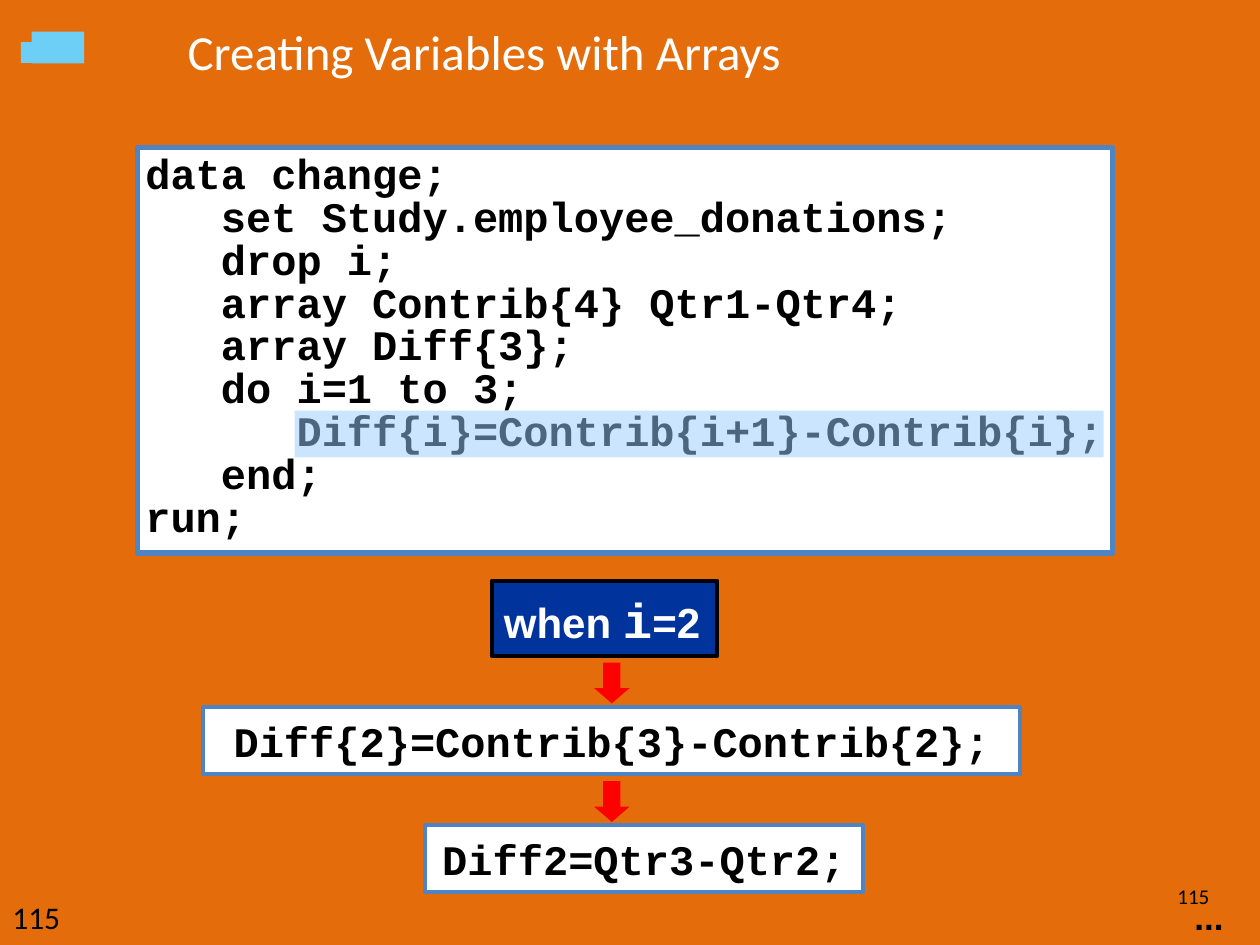
from lxml import etree
from pptx import Presentation
from pptx.dml.color import RGBColor
from pptx.enum.shapes import MSO_SHAPE as Shape
from pptx.enum.text import MSO_ANCHOR as Anchor, MSO_AUTO_SIZE as AutoSize, PP_ALIGN as Align
from pptx.oxml.ns import qn
from pptx.util import Cm, Pt

ORANGE = RGBColor(0xE4, 0x6C, 0x0A)
SKY = RGBColor(0x6D, 0xCF, 0xF6)
NAVY = RGBColor(0x00, 0x34, 0x9C)
BLUE = RGBColor(0x4E, 0x84, 0xC4)
PALE_BLUE = RGBColor(0x99, 0xCC, 0xFF)
RED = RGBColor(0xFF, 0x00, 0x00)
BLACK = RGBColor(0x00, 0x00, 0x00)
WHITE = RGBColor(0xFF, 0xFF, 0xFF)

CODE = """data change;
   set Study.employee_donations;
   drop i;
   array Contrib{4} Qtr1-Qtr4;
   array Diff{3};
   do i=1 to 3;
      Diff{i}=Contrib{i+1}-Contrib{i};
   end;
run;"""

deck = Presentation()
deck.slide_width, deck.slide_height = Cm(25.4), Cm(19.05)
page = deck.slides.add_slide(deck.slide_layouts[5])
page.background.fill.solid()
page.background.fill.fore_color.rgb = ORANGE


def add_block(kind, place, fill, line=None, line_width=2.25):
    """Add a preset shape at (left, top, width, height) in centimetres."""
    block = page.shapes.add_shape(kind, *[Cm(length) for length in place])
    block.shadow.inherit = False
    block.fill.solid()
    block.fill.fore_color.rgb = fill
    if line is None:
        block.line.fill.background()
    else:
        block.line.color.rgb = line
        block.line.width = Pt(line_width)
    return block


def write(box, text, font, size, color=BLACK, bold=False, align=Align.LEFT,
          anchor=Anchor.TOP, wrap=True):
    frame = box.text_frame
    frame.text = text
    frame.word_wrap = wrap
    frame.vertical_anchor = anchor
    for para in frame.paragraphs:
        para.alignment = align
        for span in para.runs:
            span.font.name = font
            span.font.size = Pt(size)
            span.font.bold = bold
            span.font.color.rgb = color
    return frame


# Corner mark
add_block(Shape.RECTANGLE, (0.64, 0.64, 1.06, 0.64), SKY)
add_block(Shape.RECTANGLE, (0.42, 0.85, 0.43, 0.42), SKY)

# Title
title = page.shapes.title
title.left, title.top, title.width, title.height = Cm(3.53), Cm(0.3), Cm(21.21), Cm(1.47)
write(title, "Creating Variables with Arrays", "Calibri", 28, WHITE, anchor=Anchor.MIDDLE)

# Page numbers and continuation dots
for text, place, font, size, bold, align, anchor in [
    ("115", (22.78, 17.58, 1.85, 0.99), "Calibri", 12, False, Align.RIGHT, Anchor.MIDDLE),
    ("115", (0, 17.98, 1.47, 1.07), "Calibri", 18, False, Align.LEFT, Anchor.TOP),
    ("...", (23.83, 17.93, 1.27, 1.09), "Arial", 20, True, Align.LEFT, Anchor.TOP),
]:
    box = page.shapes.add_textbox(*[Cm(length) for length in place])
    write(box, text, font, size, bold=bold, align=align, anchor=anchor)

# Program listing
listing = add_block(Shape.RECTANGLE, (2.77, 2.97, 19.66, 8.18), WHITE, BLUE, 3)
frame = write(listing, CODE, "Courier New", 24, bold=True, wrap=False)
frame.margin_left = frame.margin_right = frame.margin_top = frame.margin_bottom = Cm(0.16)
for para in frame.paragraphs:
    para.line_spacing = 0.85

# Loop step
step = add_block(Shape.RECTANGLE, (9.91, 11.71, 4.55, 1.52), NAVY, BLACK)
frame = write(step, "when ", "Arial", 24, WHITE, bold=True, anchor=Anchor.MIDDLE, wrap=False)
frame.auto_size = AutoSize.SHAPE_TO_FIT_TEXT
for text, font, size in [("i", "Courier New", 28), ("=2", "Arial", 24)]:
    span = frame.paragraphs[0].add_run()
    span.text = text
    span.font.name = font
    span.font.size = Pt(size)
    span.font.bold = True
    span.font.color.rgb = WHITE

# Resolved statements, each under its arrow
for text, place, arrow_top in [
    ("Diff{2}=Contrib{3}-Contrib{2};", (4.09, 14.25, 16.48, 1.35), 13.36),
    ("Diff2=Qtr3-Qtr2;", (8.56, 16.64, 8.84, 1.35), 15.75),
]:
    statement = add_block(Shape.RECTANGLE, place, WHITE, BLUE)
    write(statement, text, "Courier New", 24, bold=True, align=Align.CENTER, anchor=Anchor.MIDDLE)
    arrow = add_block(Shape.DOWN_ARROW, (11.98, arrow_top, 0.71, 0.82), RED)
    arrow.adjustments[0], arrow.adjustments[1] = 0.49, 0.43

# Translucent highlight over the assignment line
highlight = add_block(Shape.RECTANGLE, (5.94, 8.28, 16.31, 0.94), PALE_BLUE)
tint = highlight.fill._xPr.find(qn("a:solidFill"))[0]
etree.SubElement(tint, qn("a:alpha")).set("val", "50000")

deck.save("out.pptx")
